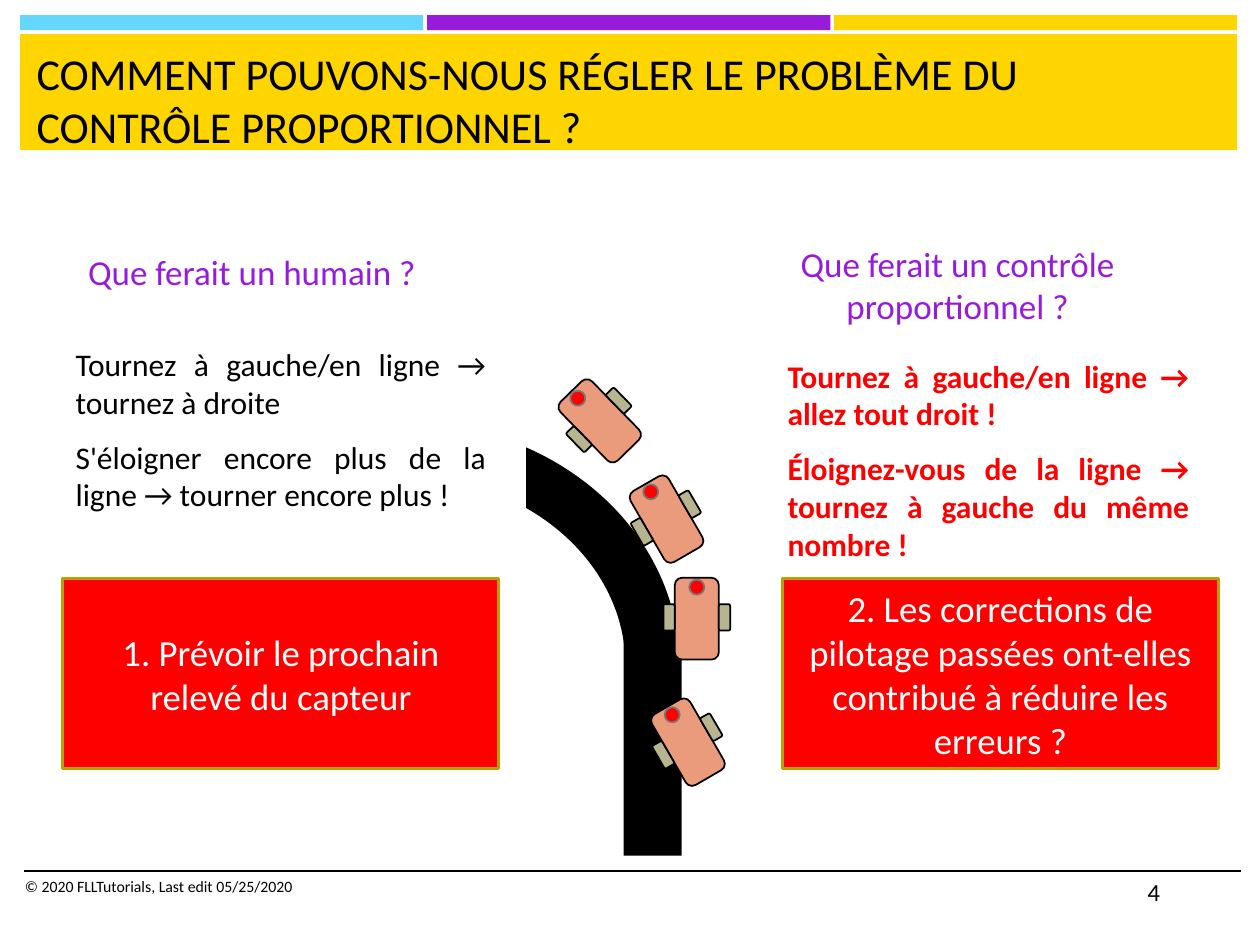
from lxml.etree import SubElement
from pptx import Presentation
from pptx.dml.color import RGBColor
from pptx.enum.shapes import MSO_CONNECTOR, MSO_SHAPE as Shape
from pptx.enum.text import MSO_ANCHOR as Anchor, MSO_AUTO_SIZE, PP_ALIGN as Align
from pptx.oxml.ns import qn
from pptx.util import Inches, Pt

BLACK = RGBColor(0x00, 0x00, 0x00)
WHITE = RGBColor(0xFF, 0xFF, 0xFF)
RED = RGBColor(0xFF, 0x00, 0x00)
YELLOW = RGBColor(0xFF, 0xD5, 0x00)
BLUE = RGBColor(0x65, 0xD7, 0xFF)
PURPLE = RGBColor(0x96, 0x1B, 0xDB)
GOLD = RGBColor(0xBD, 0x9E, 0x00)
SALMON = RGBColor(0xEA, 0x9B, 0x7C)
KHAKI = RGBColor(0xB6, 0xB5, 0x90)
GRAY = RGBColor(0x77, 0x77, 0x77)

HEADING = {"size": Pt(20), "color": PURPLE, "bold": False}
BODY = {"size": Pt(18), "color": BLACK, "bold": False}
ALERT = {"size": Pt(18), "color": RED, "bold": True}
CALLOUT = {"size": Pt(21), "color": WHITE}

TITLE = "COMMENT POUVONS-NOUS RÉGLER LE PROBLÈME DU CONTRÔLE PROPORTIONNEL ?"
TITLE_FORMAT = {"size": Pt(25.2), "color": BLACK}

# placeholder index, place, paragraphs, format, alignment, anchor
COLUMNS = [
    (1, (0.5, 1.9, 3, 0.47), ["Que ferait un humain ?"],
     HEADING, Align.CENTER, Anchor.BOTTOM),
    (2, (0.5, 2.69, 3.46, 1.43),
     ["Tournez à gauche/en ligne → tournez à droite",
      "S'éloigner encore plus de la ligne → tourner encore plus !"],
     BODY, Align.JUSTIFY, Anchor.TOP),
    (3, (5.51, 1.9, 4.18, 0.74), ["Que ferait un contrôle proportionnel ?"],
     HEADING, Align.CENTER, Anchor.BOTTOM),
    (4, (6.15, 2.78, 3.39, 2.41),
     ["Tournez à gauche/en ligne → allez tout droit !",
      "Éloignez-vous de la ligne → tournez à gauche du même nombre !"],
     ALERT, Align.JUSTIFY, Anchor.TOP),
]
CALLOUTS = [
    (0.5, "1. Prévoir le prochain relevé du capteur"),
    (6.21, "2. Les corrections de pilotage passées ont-elles contribué à réduire les erreurs ?"),
]
FOOTERS = [
    ((0.1, 6.91, 5.33, 0.4), "© 2020 FLLTutorials, Last edit 05/25/2020",
     {"size": Pt(9), "color": BLACK}),
    ((9.01, 6.91, 0.84, 0.4), "4", {"size": Pt(14), "color": BLACK}),
]
# robot centre and heading
ROBOTS = [(5.46, 5.89, 330), (5.53, 4.91, 0), (5.29, 4.12, 330), (4.76, 3.34, 315.8)]
# shape, offset from robot centre, size, fill, line
ROBOT_PARTS = [
    (Shape.ROUNDED_RECTANGLE, (0, 0), (0.35, 0.65), SALMON, BLACK),
    (Shape.ROUNDED_RECTANGLE, (0.22, -0.01), (0.09, 0.21), KHAKI, BLACK),
    (Shape.ROUNDED_RECTANGLE, (-0.22, -0.01), (0.09, 0.21), KHAKI, BLACK),
    (Shape.OVAL, (0, -0.25), (0.12, 0.12), RED, GRAY),
]


def add_figure(shapes, kind, place, fill=None, line=None, width=1):
    figure = shapes.add_shape(kind, *map(Inches, place))
    figure.shadow.inherit = False
    if fill is None:
        figure.fill.background()
    else:
        figure.fill.solid()
        figure.fill.fore_color.rgb = fill
    if line is None:
        figure.line.fill.background()
    else:
        figure.line.color.rgb = line
        figure.line.width = Pt(width)
    return figure


def write(box, texts, style, align=Align.LEFT, anchor=Anchor.TOP):
    frame = box.text_frame
    frame.word_wrap = True
    frame.auto_size = MSO_AUTO_SIZE.NONE
    frame.vertical_anchor = anchor
    for number, text in enumerate(texts):
        para = frame.add_paragraph() if number else frame.paragraphs[0]
        para.alignment = align
        para.space_before = Pt(3.6 if number else 0)
        para.space_after = Pt(6 if len(texts) > 1 else 0)
        if box.is_placeholder:
            properties = para._p.get_or_add_pPr()
            properties.set("marL", "0")
            properties.set("indent", "0")
            SubElement(properties, qn("a:buNone"))
        span = para.add_run()
        span.text = text
        span.font.name = "Calibri"
        for name, value in style.items():
            if name == "color":
                span.font.color.rgb = value
            else:
                setattr(span.font, name, value)


def fill_placeholder(page, box, place, *content):
    """Move a placeholder to its place, on top of what is drawn so far."""
    box.left, box.top, box.width, box.height = map(Inches, place)
    page.shapes.element.append(box.element)
    write(box, *content)


def add_header(page):
    for column, color in enumerate((BLUE, PURPLE, YELLOW)):
        add_figure(page.shapes, Shape.RECTANGLE, (0.16 + 3.23 * column, 0.12, 3.2, 0.12), color)
    add_figure(page.shapes, Shape.RECTANGLE, (0.16, 0.27, 9.66, 0.92), YELLOW)
    fill_placeholder(page, page.shapes.title, (0.19, 0.32, 9.57, 0.82), [TITLE], TITLE_FORMAT)


def add_road(page):
    add_figure(page.shapes, Shape.RECTANGLE, (4.95, 5.07, 0.46, 1.72), BLACK)
    add_figure(page.shapes, Shape.ARC, (1.18, 3.56, 4, 3.44), line=BLACK, width=31)
    add_figure(page.shapes, Shape.RECTANGLE, (2.75, 2.89, 1.41, 1.23), WHITE, WHITE, 1.75)


def add_robot(page, x, y, angle):
    robot = page.shapes.add_group_shape()
    for kind, (dx, dy), (width, height), fill, line in ROBOT_PARTS:
        place = (x + dx - width / 2, y + dy - height / 2, width, height)
        add_figure(robot.shapes, kind, place, fill, line)
    robot.rotation = angle


def add_footer(page):
    rule = page.shapes.add_connector(
        MSO_CONNECTOR.STRAIGHT, *map(Inches, (0.19, 6.91, 9.85, 6.91)))
    rule.line.color.rgb = BLACK
    rule.line.width = Pt(1)
    SubElement(rule.element.spPr, qn("a:effectLst"))
    for place, text, style in FOOTERS:
        write(page.shapes.add_textbox(*map(Inches, place)), [text], style)


def main():
    deck = Presentation()
    deck.slide_width, deck.slide_height = Inches(10), Inches(7.5)
    page = deck.slides.add_slide(deck.slide_layouts.get_by_name("Comparison"))
    boxes = {box.placeholder_format.idx: box for box in page.placeholders}

    add_header(page)
    add_road(page)
    for robot in ROBOTS:
        add_robot(page, *robot)
    for left, text in CALLOUTS:
        box = add_figure(page.shapes, Shape.RECTANGLE, (left, 4.59, 3.46, 1.51), RED, GOLD, 1.75)
        write(box, [text], CALLOUT, Align.CENTER, Anchor.MIDDLE)
    for index, place, *content in COLUMNS:
        fill_placeholder(page, boxes[index], place, *content)
    add_footer(page)
    deck.save("out.pptx")


if __name__ == "__main__":
    main()
